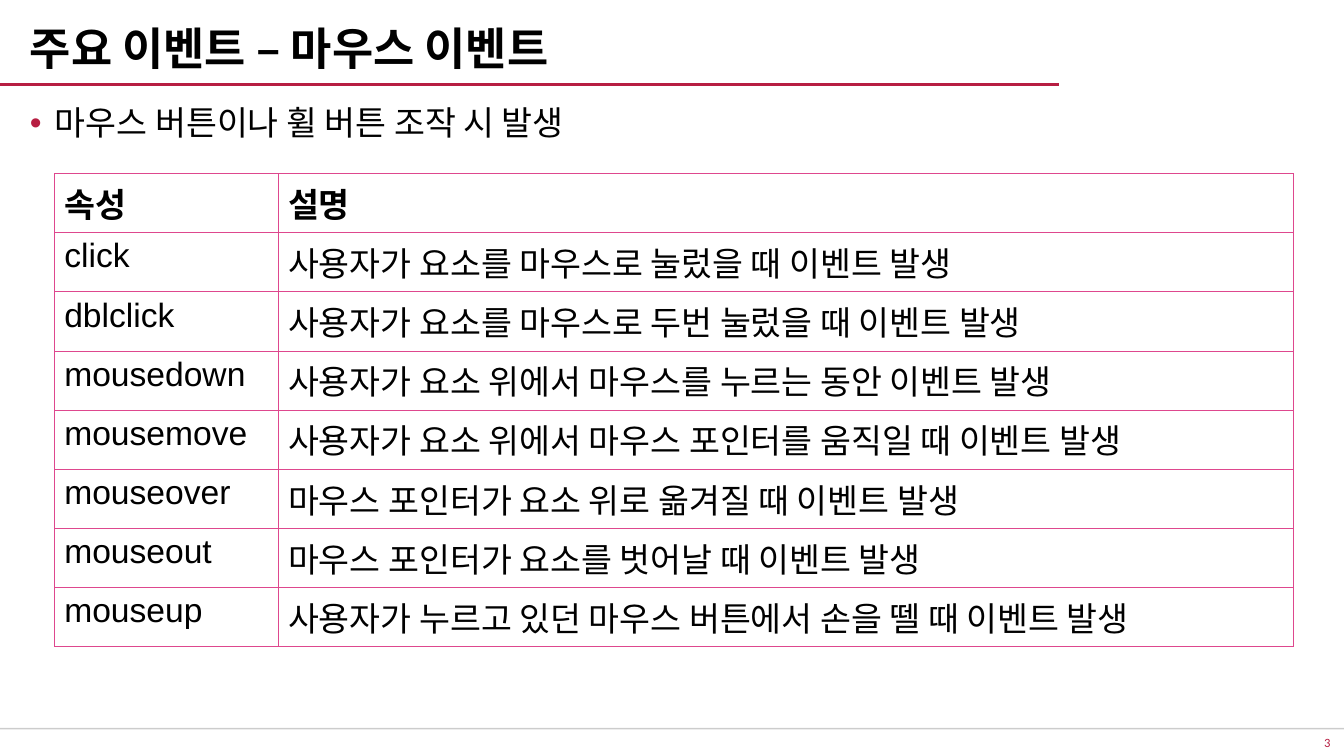
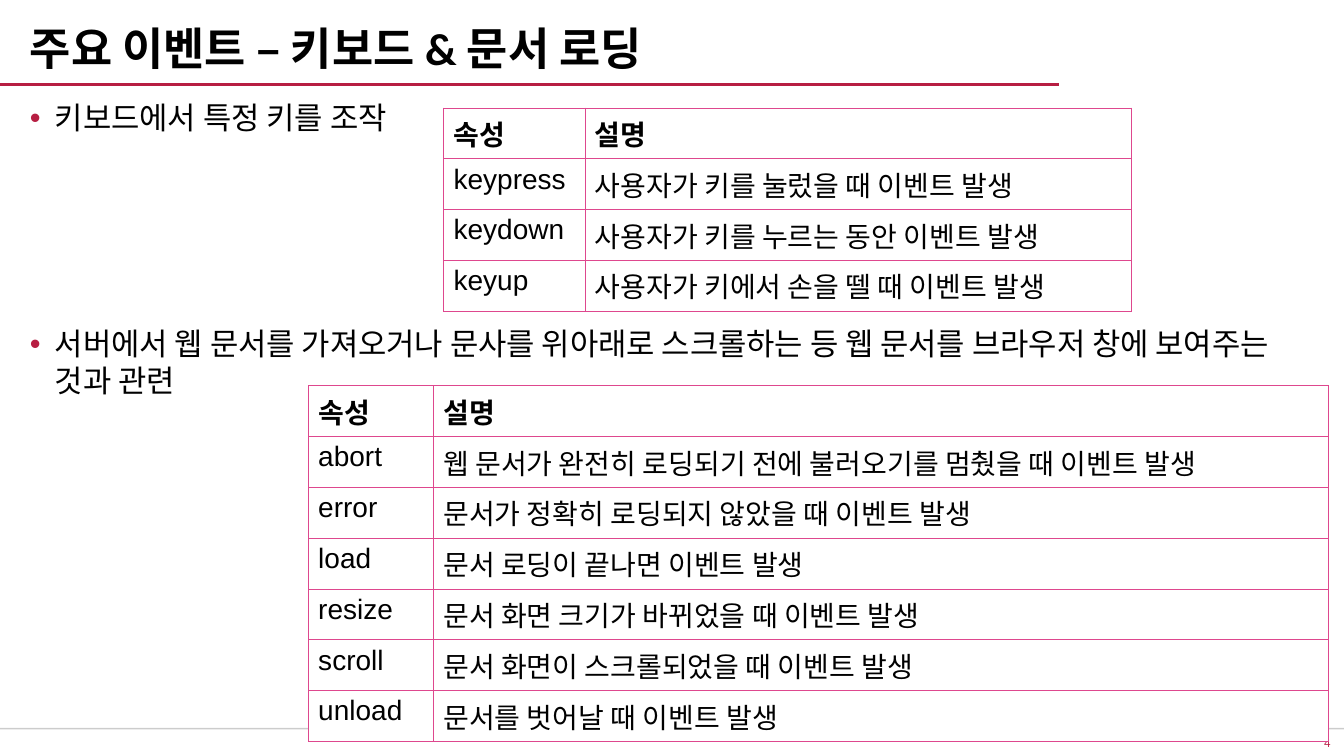
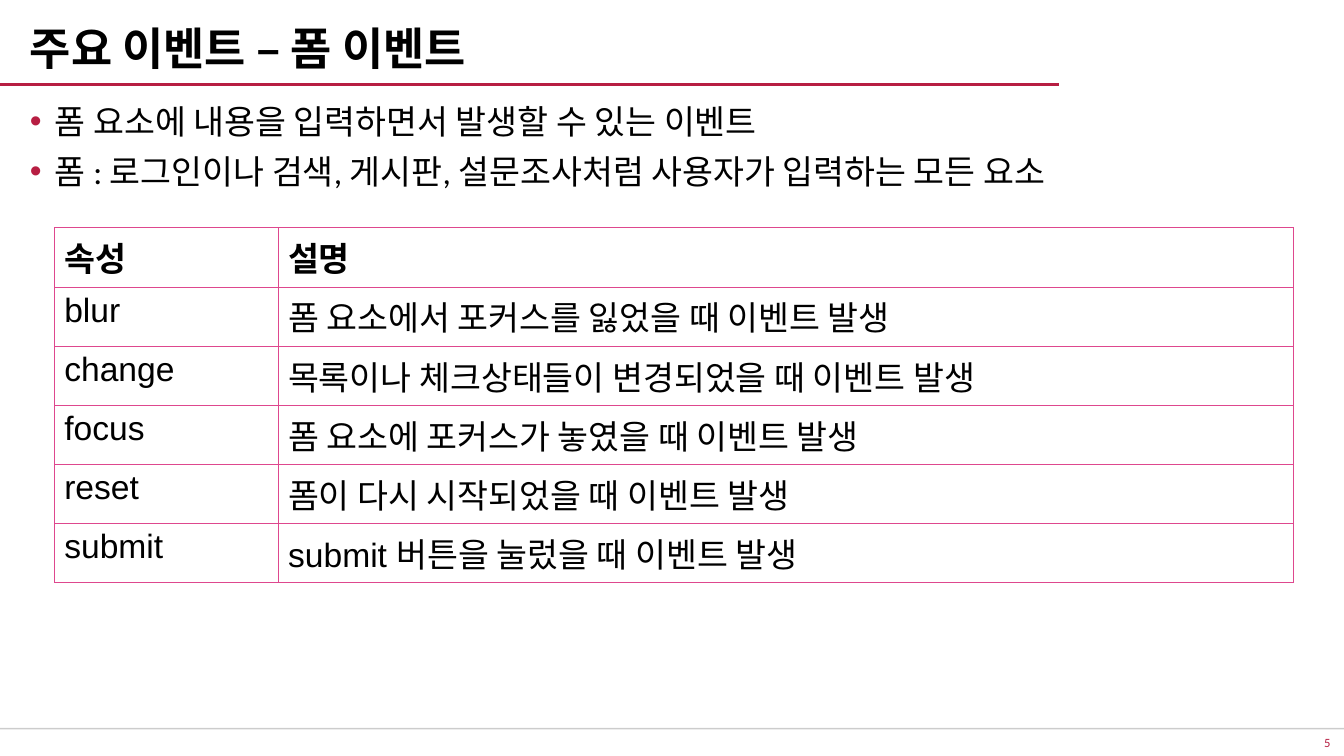
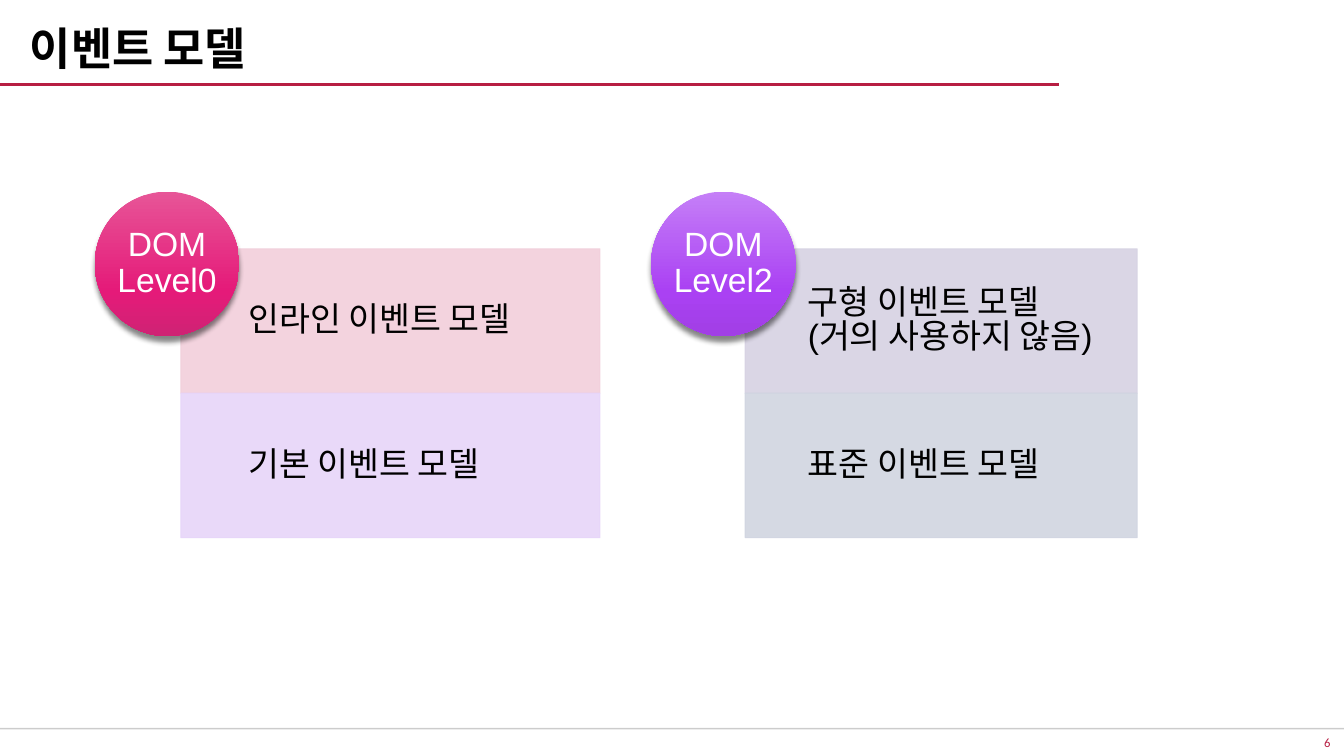
from dataclasses import dataclass

from lxml import etree
from pptx import Presentation
from pptx.dml.color import RGBColor
from pptx.enum.shapes import MSO_CONNECTOR, MSO_SHAPE
from pptx.enum.text import MSO_ANCHOR, MSO_AUTO_SIZE, PP_ALIGN
from pptx.oxml.ns import qn
from pptx.util import Cm, Pt

STRAIGHT = MSO_CONNECTOR.STRAIGHT
RECTANGLE, OVAL = MSO_SHAPE.RECTANGLE, MSO_SHAPE.OVAL
TOP, MIDDLE, BOTTOM = MSO_ANCHOR.TOP, MSO_ANCHOR.MIDDLE, MSO_ANCHOR.BOTTOM
LEFT, CENTER, RIGHT = PP_ALIGN.LEFT, PP_ALIGN.CENTER, PP_ALIGN.RIGHT
NO_FIT = MSO_AUTO_SIZE.NONE
TITLE_AND_BODY, TITLE_ONLY = 1, 5
HEADINGS = ("속성", "설명")


@dataclass(frozen=True)
class Theme:
    heading: str = "Calibri"
    plain: str = "Arial"
    ink: str = "000000"
    paper: str = "FFFFFF"
    accent: str = "B71E42"
    grid: str = "DE478E"
    footer_line: str = "000001"
    title_size: int = 32
    text_size: int = 24
    list_size: int = 22
    table_size: int = 20
    number_size: int = 9
    cell_margin: float = 0.25


def color(value):
    return RGBColor.from_string(value)


def add_node(parent, tag, **attributes):
    node = etree.SubElement(parent, qn(tag))
    for name, value in attributes.items():
        node.set(name, str(value))
    return node


def add_color(parent, value, alpha=None):
    node = add_node(parent, "a:srgbClr", val=value)
    if alpha is not None:
        add_node(node, "a:alpha", val=alpha * 1000)


def set_alpha(element, alpha):
    for node in element.iter(qn("a:srgbClr")):
        add_node(node, "a:alpha", val=alpha * 1000)


def write(frame, text, *, font, size, ink, bold=False, align=LEFT, anchor=TOP,
          spacing=1.0, before=0, bullet=None, margins=None):
    frame.word_wrap = True
    frame.auto_size = NO_FIT
    frame.vertical_anchor = anchor
    if margins is not None:
        (frame.margin_left, frame.margin_top,
         frame.margin_right, frame.margin_bottom) = [Cm(side) for side in margins]
    for index, line in enumerate(text.split("\n")):
        para = frame.add_paragraph() if index else frame.paragraphs[0]
        if bullet:
            properties = para._p.get_or_add_pPr()
            properties.set("marL", str(Cm(0.63)))
            properties.set("indent", str(-Cm(0.63)))
            add_color(add_node(properties, "a:buClr"), bullet)
            add_node(properties, "a:buFont", typeface="Arial")
            add_node(properties, "a:buChar", char="•")
        para.alignment = align
        para.line_spacing = spacing
        para.space_before = Pt(before if index else 0)
        span = para.add_run()
        span.text = line
        span.font.name = font
        span.font.size = Pt(size)
        span.font.bold = bold
        span.font.color.rgb = color(ink)


class EventDeck:
    def __init__(self, theme, first_number):
        self.theme = theme
        self.number = first_number
        self.deck = Presentation()
        self.deck.slide_width = Cm(33.87)
        self.deck.slide_height = Cm(19.05)
        self.page = None

    def add_page(self, title, layout=TITLE_AND_BODY):
        first = self.page is None
        self.page = self.deck.slides.add_slide(self.deck.slide_layouts[layout])
        if first:
            self.add_master_line(33.87, 18.36, self.theme.footer_line, 1, 101, 20)
            self.add_master_line(26.7, 2.13, self.theme.accent, 2.5, 102)
        box = self.page.shapes.title
        self.place(box, 0.5, 0.38, 26.67, 1.63)
        write(box.text_frame, title, font=self.theme.heading, size=self.theme.title_size,
              ink=self.theme.ink, bold=True, anchor=BOTTOM, spacing=0.9)
        self.add_number()

    def place(self, box, left, top, width, height):
        box.left, box.top, box.width, box.height = Cm(left), Cm(top), Cm(width), Cm(height)

    def add_master_line(self, end, top, ink, weight, identity, alpha=100):
        line = self.page.shapes.add_connector(STRAIGHT, Cm(0), Cm(top), Cm(end), Cm(top))
        line.line.color.rgb = color(ink)
        line.line.width = Pt(weight)
        element = line._element
        set_alpha(element.spPr, alpha)
        add_node(element.spPr, "a:effectLst")
        element.nvCxnSpPr.cNvPr.set("id", str(identity))
        self.deck.slide_master.shapes._spTree.append(element)

    def add_number(self):
        box = self.page.shapes.add_textbox(Cm(31.52), Cm(18.44), Cm(2.26), Cm(0.56))
        write(box.text_frame, str(self.number), font=self.theme.heading,
              size=self.theme.number_size, ink=self.theme.accent, align=RIGHT, anchor=MIDDLE)
        self.number += 1

    def add_list(self, text, top, height, size, before=0):
        box = self.page.placeholders[1]
        self.place(box, 0.5, top, 32.97, height)
        write(box.text_frame, text, font=self.theme.heading, size=size,
              ink=self.theme.ink, before=before, bullet=self.theme.accent)

    def add_table(self, rows, left, top, widths, row_height, size):
        rows = [HEADINGS, *rows]
        frame = self.page.shapes.add_table(
            len(rows), len(widths), Cm(left), Cm(top),
            Cm(sum(widths)), Cm(row_height * len(rows)))
        table = frame.table
        for column, width in zip(table.columns, widths):
            column.width = Cm(width)
        for row_index, row in enumerate(rows):
            table.rows[row_index].height = Cm(row_height)
            for column_index, text in enumerate(row):
                self.fill_cell(table.cell(row_index, column_index), text, size, row_index == 0)

    def fill_cell(self, cell, text, size, bold):
        properties = cell._tc.get_or_add_tcPr()
        for side in ("a:lnL", "a:lnR", "a:lnT", "a:lnB"):
            border = add_node(properties, side, w=Pt(0.5))
            add_color(add_node(border, "a:solidFill"), self.theme.grid)
        cell.fill.solid()
        cell.fill.fore_color.rgb = color(self.theme.paper)
        cell.margin_left = cell.margin_right = Cm(self.theme.cell_margin)
        write(cell.text_frame, text, font=self.theme.plain, size=size,
              ink=self.theme.ink, bold=bold)

    def add_panel(self, text, fill, left, top, width, height, inset):
        box = self.page.shapes.add_shape(RECTANGLE, Cm(left), Cm(top), Cm(width), Cm(height))
        box.shadow.inherit = False
        box.fill.solid()
        box.fill.fore_color.rgb = color(fill)
        box.line.color.rgb = color(fill)
        box.line.width = Pt(0.75)
        set_alpha(box._element.spPr, 90)
        write(box.text_frame, text, font=self.theme.plain, size=self.theme.text_size,
              ink=self.theme.ink, anchor=MIDDLE, spacing=0.85 if "\n" in text else 0.9,
              margins=(inset, 0.48, 0.48, 0.48))

    def add_badge(self, text, shades, left, top, diameter):
        badge = self.page.shapes.add_shape(OVAL, Cm(left), Cm(top), Cm(diameter), Cm(diameter))
        badge.fill.gradient()
        badge.fill.gradient_angle = 270
        badge.line.fill.background()
        badge.shadow.inherit = False
        properties = badge._element.spPr
        stops = properties.find(".//" + qn("a:gsLst"))
        stops.clear()
        for position, shade in zip((0, 69, 100), shades):
            add_color(add_node(stops, "a:gs", pos=position * 1000), shade)
        shadow = add_node(properties.find(qn("a:effectLst")), "a:outerShdw",
                          blurRad=Pt(4), dist=Pt(4), dir=5400000, rotWithShape=0)
        add_color(shadow, "000000", 48)
        write(badge.text_frame, text, font=self.theme.plain, size=self.theme.text_size,
              ink=self.theme.paper, align=CENTER, anchor=MIDDLE, spacing=0.9,
              margins=(0, 0, 0, 0))

    def add_model(self, badge, shades, panels, badge_left, panel_left, width, inset):
        side, top = 3.64, 6.27
        for index, (text, fill) in enumerate(panels):
            self.add_panel(text, fill, panel_left, top + index * side, width, side, inset)
        self.add_badge(badge, shades, badge_left, 4.83, side)


def main():
    theme = Theme()
    show = EventDeck(theme, first_number=3)
    wide = (5.64, 25.58)

    show.add_page("주요 이벤트 – 마우스 이벤트")
    show.add_list("마우스 버튼이나 휠 버튼 조작 시 발생", 2.45, 1.75, theme.text_size)
    show.add_table([
        ("click", "사용자가 요소를 마우스로 눌렀을 때 이벤트 발생"),
        ("dblclick", "사용자가 요소를 마우스로 두번 눌렀을 때 이벤트 발생"),
        ("mousedown", "사용자가 요소 위에서 마우스를 누르는 동안 이벤트 발생"),
        ("mousemove", "사용자가 요소 위에서 마우스 포인터를 움직일 때 이벤트 발생"),
        ("mouseover", "마우스 포인터가 요소 위로 옮겨질 때 이벤트 발생"),
        ("mouseout", "마우스 포인터가 요소를 벗어날 때 이벤트 발생"),
        ("mouseup", "사용자가 누르고 있던 마우스 버튼에서 손을 뗄 때 이벤트 발생"),
    ], 1.37, 4.37, wide, 1.49, theme.text_size)

    show.add_page("주요 이벤트 – 키보드 & 문서 로딩")
    show.add_list(
        "키보드에서 특정 키를 조작\n"
        "서버에서 웹 문서를 가져오거나 문사를 위아래로 스크롤하는 등 "
        "웹 문서를 브라우저 창에 보여주는 것과 관련",
        2.37, 10.9, theme.list_size, before=135)
    show.add_table([
        ("keypress", "사용자가 키를 눌렀을 때 이벤트 발생"),
        ("keydown", "사용자가 키를 누르는 동안 이벤트 발생"),
        ("keyup", "사용자가 키에서 손을 뗄 때 이벤트 발생"),
    ], 11.18, 2.72, (3.56, 13.77), 1.28, theme.table_size)
    show.add_table([
        ("abort", "웹 문서가 완전히 로딩되기 전에 불러오기를 멈췄을 때 이벤트 발생"),
        ("error", "문서가 정확히 로딩되지 않았을 때 이벤트 발생"),
        ("load", "문서 로딩이 끝나면 이벤트 발생"),
        ("resize", "문서 화면 크기가 바뀌었을 때 이벤트 발생"),
        ("scroll", "문서 화면이 스크롤되었을 때 이벤트 발생"),
        ("unload", "문서를 벗어날 때 이벤트 발생"),
    ], 7.77, 9.72, (3.15, 22.56), 1.28, theme.table_size)

    show.add_page("주요 이벤트 – 폼 이벤트")
    show.add_list(
        "폼 요소에 내용을 입력하면서 발생할 수 있는 이벤트\n"
        "폼 : 로그인이나 검색, 게시판, 설문조사처럼 사용자가 입력하는 모든 요소",
        2.41, 3.02, theme.text_size, before=7)
    show.add_table([
        ("blur", "폼 요소에서 포커스를 잃었을 때 이벤트 발생"),
        ("change", "목록이나 체크상태들이 변경되었을 때 이벤트 발생"),
        ("focus", "폼 요소에 포커스가 놓였을 때 이벤트 발생"),
        ("reset", "폼이 다시 시작되었을 때 이벤트 발생"),
        ("submit", "submit 버튼을 눌렀을 때 이벤트 발생"),
    ], 1.37, 5.74, wide, 1.49, theme.text_size)

    show.add_page("이벤트 모델", TITLE_ONLY)
    show.add_model("DOM Level0", ("E75597", "E51A79", "CF2374"),
                   [("인라인 이벤트 모델", "F2CFDB"), ("기본 이벤트 모델", "E7D5F9")],
                   2.39, 4.56, 10.56, 1.7)
    show.add_model("DOM Level2", ("C57FF7", "AA41F3", "A13FE5"),
                   [("구형 이벤트 모델\n(거의 사용하지 않음)", "D7D2E3"),
                    ("표준 이벤트 모델", "D1D5E1")],
                   16.41, 18.78, 9.88, 1.58)

    show.deck.save("out.pptx")


if __name__ == "__main__":
    main()
